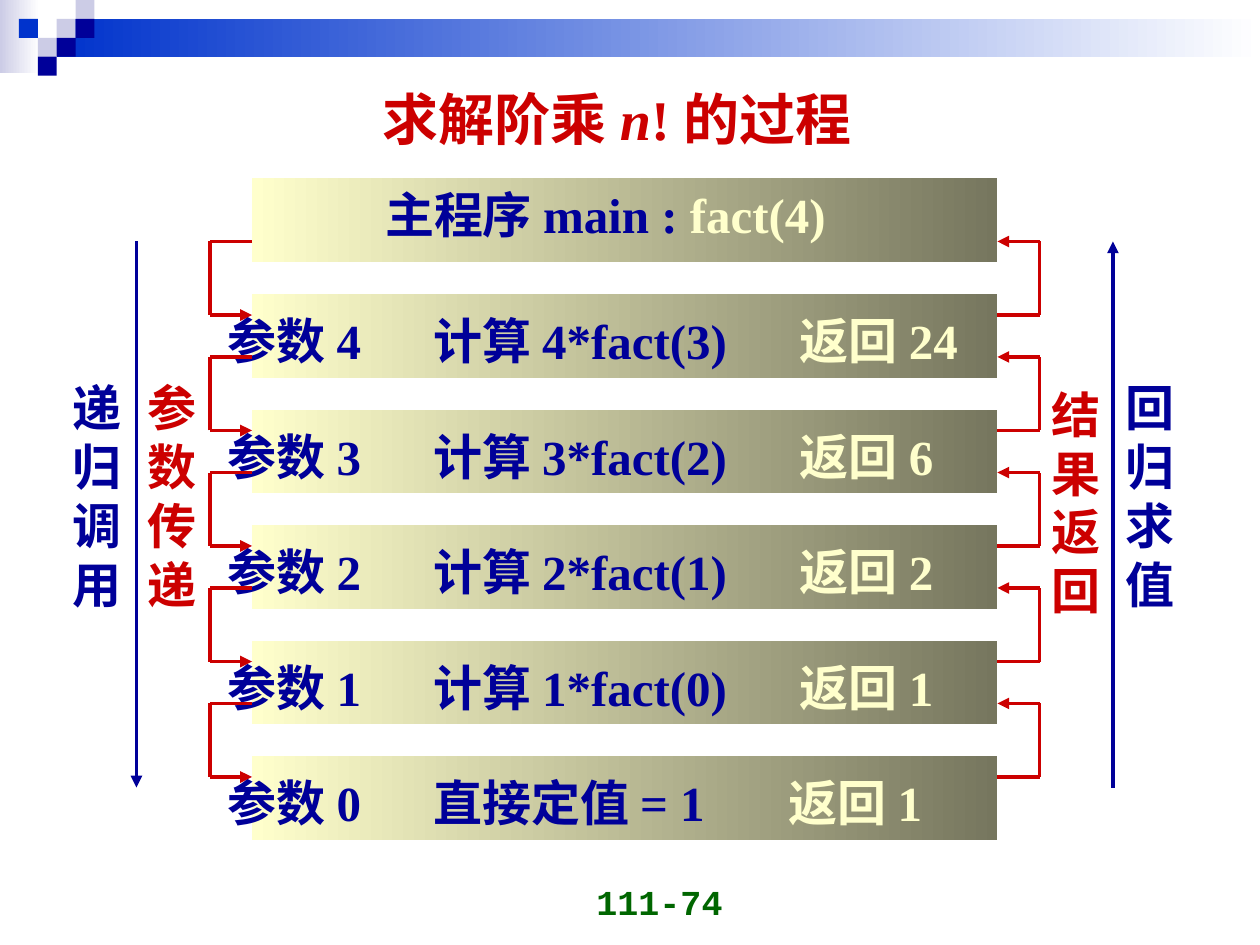
import pptx
import pptx.util
import pptx.dml.color
import pptx.enum.shapes
import pptx.enum.text
import pptx.oxml.ns
import lxml.etree

Pt = pptx.util.Pt
RGBColor = pptx.dml.color.RGBColor
NAVY = RGBColor(0x00, 0x00, 0x99)
BLUE = RGBColor(0x00, 0x33, 0xCC)
LILAC = RGBColor(0xCC, 0xCC, 0xE6)
RED = RGBColor(0xCC, 0x00, 0x00)
CREAM = RGBColor(0xFF, 0xFF, 0xCC)
OLIVE = RGBColor(0x76, 0x76, 0x5E)
GREEN = RGBColor(0x00, 0x66, 0x00)
WHITE = RGBColor(0xFF, 0xFF, 0xFF)
RECT = pptx.enum.shapes.MSO_SHAPE.RECTANGLE
ALIGN = pptx.enum.text.PP_ALIGN
ANCHOR = pptx.enum.text.MSO_ANCHOR
qn = pptx.oxml.ns.qn

deck = pptx.Presentation()
deck.slide_width, deck.slide_height = Pt(720), Pt(540)
slide = deck.slides.add_slide(deck.slide_layouts[6])
shapes = slide.shapes


def add_text(left, top, width, height, parts, size=28, font="Times New Roman"):
    """Add a text box of one paragraph; parts are (text, colour) pairs."""
    box = shapes.add_textbox(Pt(left), Pt(top), Pt(width), Pt(height))
    frame = box.text_frame
    frame.word_wrap = True
    for words, color in parts:
        run = frame.paragraphs[0].add_run()
        run.text = words
        run.font.size, run.font.name, run.font.bold = Pt(size), font, True
        run.font.color.rgb = color
    return frame


def add_line(x1, y1, x2, y2, color, arrow=False):
    """Add a straight line, with an arrowhead at its end if asked."""
    line = shapes.add_connector(pptx.enum.shapes.MSO_CONNECTOR.STRAIGHT,
                                Pt(x1), Pt(y1), Pt(x2), Pt(y2))
    line.line.color.rgb = color
    line.line.width = Pt(2.25)
    if arrow:
        lxml.etree.SubElement(line.line._get_or_add_ln(), qn("a:tailEnd"), type="triangle")
    lxml.etree.SubElement(line._element.spPr, qn("a:effectLst"))


# Header bands and call bars, all with a gradient from left to right
bands = [(0, 0, 22.5, 42, LILAC, WHITE), (32.4, 10.8, 687.6, 21.6, BLUE, WHITE)]
bars = [(144, 102 + 66 * row, 426, 48, CREAM, OLIVE) for row in range(6)]
for left, top, width, height, start, end in bands + bars:
    bar = shapes.add_shape(RECT, Pt(left), Pt(top), Pt(width), Pt(height))
    bar.shadow.inherit = False
    bar.line.fill.background()
    bar.fill.gradient()
    bar.fill.gradient_angle = 0
    for stop, color in zip(bar.fill.gradient_stops, (start, end)):
        stop.color.rgb = color

# Header squares, by column and row
SIDE = 10.8
squares = [(3, 1, LILAC), (4, 0, LILAC), (4, 1, NAVY), (2, 2, LILAC),
           (1, 1, BLUE), (3, 2, NAVY), (2, 3, NAVY)]
for col, row, color in squares:
    square = shapes.add_shape(RECT, Pt(col * SIDE), Pt(row * SIDE), Pt(SIDE), Pt(SIDE))
    square.shadow.inherit = False
    square.fill.solid()
    square.fill.fore_color.rgb = color
    square.line.fill.background()

# Page number
frame = add_text(252, 494.6, 168, 36, [("111-74", GREEN)], 20, "Courier New")
frame.vertical_anchor = ANCHOR.BOTTOM
frame.paragraphs[0].alignment = ALIGN.RIGHT

# Title
frame = add_text(158.4, 40.3, 388.8, 54,
                 [("求解阶乘 ", RED), ("n", RED), ("! 的过程", RED)], 32)
frame.vertical_anchor = ANCHOR.MIDDLE
frame.paragraphs[0].alignment = ALIGN.CENTER
frame.paragraphs[0].runs[1].font.italic = True

# Main program
add_text(213, 102, 273, 41, [("主程序 main : ", NAVY), ("fact(4)", CREAM)])

# Calls, in three columns set by tab stops
calls = [(4, "计算 4*fact(3)", 24, 327), (3, "计算 3*fact(2)", 6, 327),
         (2, "计算 2*fact(1)", 2, 327), (1, "计算 1*fact(0)", 1, 327),
         (0, "直接定值 = 1", 1, 320.5)]
for row, (arg, work, result, stop) in enumerate(calls):
    frame = add_text(123, 174 + 66 * row, 461, 41,
                     [(f"参数 {arg}\t{work}\t", NAVY), (f"返回 {result}", CREAM)])
    props = frame.paragraphs[0]._p.get_or_add_pPr()
    tabs = lxml.etree.SubElement(props, qn("a:tabLst"))
    for place in (117.5, stop):
        lxml.etree.SubElement(tabs, qn("a:tab"), pos=str(int(Pt(place))), algn="l")

    # Call bracket on the left, return bracket on the right
    high, low = 138 + 66 * row, 180 + 66 * row
    add_line(144, high, 120, high, RED)
    add_line(120, low, 144, low, RED, arrow=True)
    add_line(120, low, 120, high, RED)
    add_line(594, low, 570, low, RED)
    add_line(594, high, 570, high, RED, arrow=True)
    add_line(594, low, 594, high, RED)

# Side arrows and upright labels
add_line(78, 138, 78, 450, NAVY, arrow=True)
add_line(636, 450, 636, 138, NAVY, arrow=True)
labels = [(77, 212.4, 49, "参数传递", RED), (594, 216, 43.2, "结果返回", RED),
          (34.6, 212.4, 49, "递归调用", NAVY), (636, 212.4, 49, "回归求值", NAVY)]
for left, top, width, words, color in labels:
    add_text(left, top, width, 142, [(words, color)])

deck.save("out.pptx")
